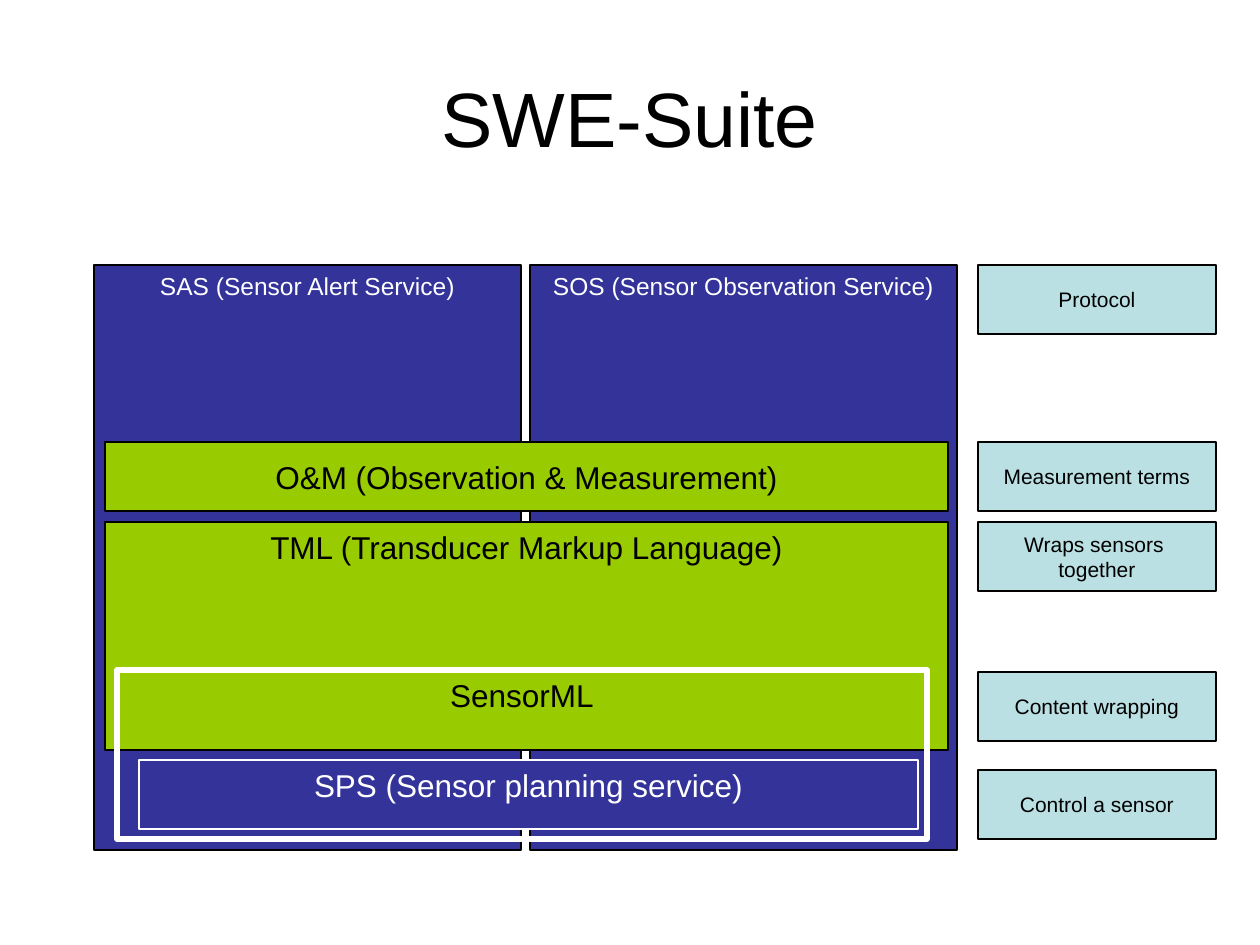
from pptx import Presentation
from pptx.dml.color import RGBColor
from pptx.enum.shapes import MSO_SHAPE
from pptx.enum.text import MSO_ANCHOR, PP_ALIGN
from pptx.util import Emu, Pt

PX = 914400 // 126
TOP, MID = MSO_ANCHOR.TOP, MSO_ANCHOR.MIDDLE

THEME = {
    "font": "Arial",
    "blue": "333399", "green": "99CC00", "pale": "BBE0E3",
    "black": "000000", "white": "FFFFFF",
    "title": 44, "layer": 18, "service": 14, "note": 12,
    "thin": 0.75, "thick": 3,
}

TITLE = "SWE-Suite"
SERVICES = ["SAS (Sensor Alert Service)", "SOS (Sensor Observation Service)"]
# text, box in px, fill, line, line width, text colour, anchor
LAYERS = [
    ("TML (Transducer Markup Language)", (105, 522, 843, 228),
     "green", "black", "thin", "black", TOP),
    ("O&M (Observation & Measurement)", (105, 442, 843, 69),
     "green", "black", "thin", "black", MID),
    ("SensorML", (117, 670, 810, 169), None, "white", "thick", "black", TOP),
    ("SPS (Sensor planning service)", (139, 760, 779, 69),
     "blue", "white", "thin", "white", TOP),
]
# text, top in px
NOTES = [
    ("Protocol", 265),
    ("Measurement terms", 442),
    ("Wraps sensors \ntogether", 522),
    ("Content wrapping", 672),
    ("Control a sensor", 770),
]


def color(name):
    return RGBColor.from_string(THEME[name])


def place(shape, box):
    shape.left, shape.top, shape.width, shape.height = (Emu(n * PX) for n in box)


def write(shape, text, size, ink, anchor, wrap=False):
    frame = shape.text_frame
    frame.word_wrap = wrap
    frame.vertical_anchor = anchor
    para = frame.paragraphs[0]
    para.alignment = PP_ALIGN.CENTER
    for i, line in enumerate(text.split("\n")):
        if i:
            para.add_line_break()
        run = para.add_run()
        run.text = line
        run.font.name = THEME["font"]
        run.font.size = Pt(THEME[size])
        run.font.color.rgb = color(ink)


def add_box(slide, text, box, fill, line, width, size, ink, anchor):
    shape = slide.shapes.add_shape(
        MSO_SHAPE.RECTANGLE, *(Emu(n * PX) for n in box))
    shape.shadow.inherit = False
    if fill:
        shape.fill.solid()
        shape.fill.fore_color.rgb = color(fill)
    else:
        shape.fill.background()
    shape.line.color.rgb = color(line)
    shape.line.width = Pt(THEME[width])
    write(shape, text, size, ink, anchor)


def main():
    deck = Presentation()
    deck.slide_width, deck.slide_height = Emu(1260 * PX), Emu(945 * PX)
    slide = deck.slides.add_slide(deck.slide_layouts[5])

    title = slide.shapes.title
    place(title, (63, 38, 1134, 157))
    write(title, TITLE, "title", "black", MID, wrap=True)

    for i, text in enumerate(SERVICES):
        add_box(slide, text, (94 + i * 436, 265, 427, 585),
                "blue", "black", "thin", "service", "white", TOP)
    for text, box, fill, line, width, ink, anchor in LAYERS:
        add_box(slide, text, box, fill, line, width, "layer", ink, anchor)
    for text, top in NOTES:
        add_box(slide, text, (978, top, 238, 69),
                "pale", "black", "thin", "note", "black", MID)

    deck.save("out.pptx")


if __name__ == "__main__":
    main()
